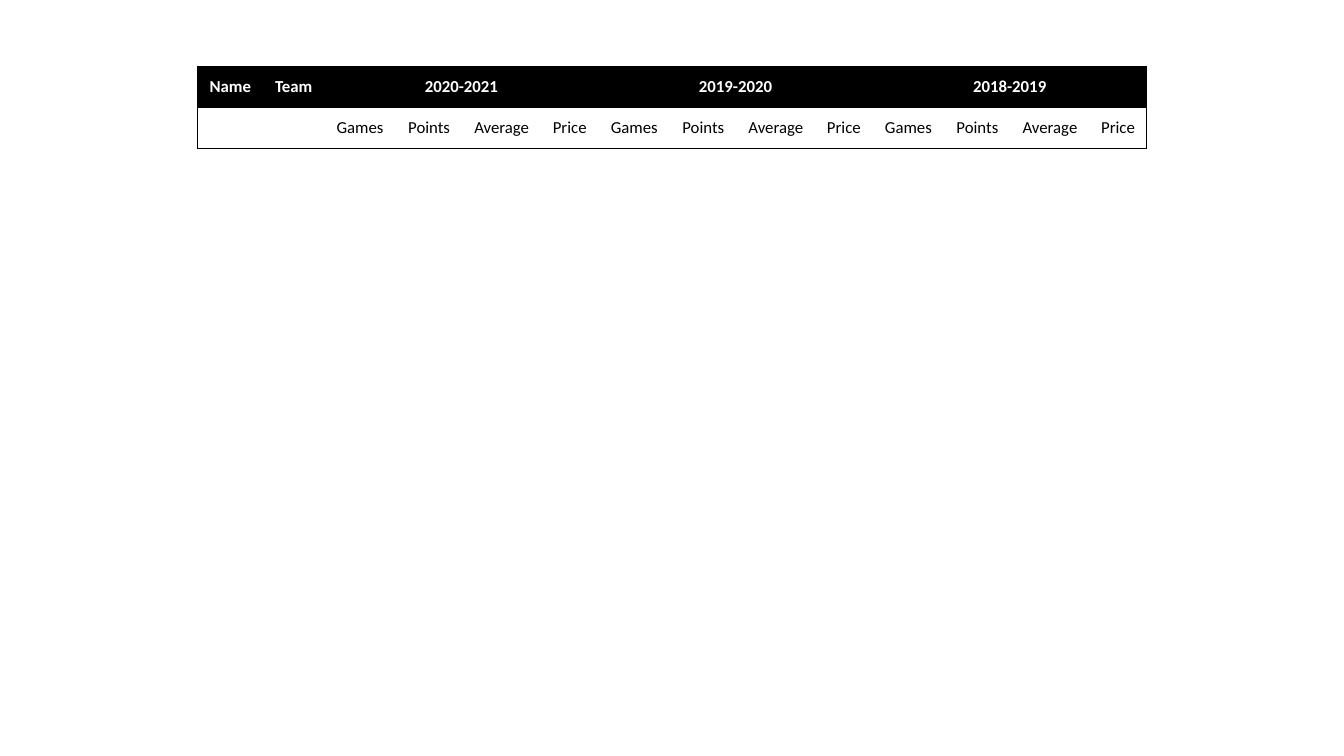
import pptx
import pptx.util
import pptx.dml.color
import pptx.enum.text
import pptx.oxml
import pptx.oxml.ns

COLORS = {"ink": "000000", "paper": "FFFFFF"}
NO_STYLE = "{2D5ABB26-0587-4C30-8999-92F81FD0307C}"
SEASONS = ["2020-2021", "2019-2020", "2018-2019"]
STATS = {"Games": 51.1, "Points": 47.5, "Average": 56.2, "Price": 41.1}
PLAYER = {"Name": 46.8, "Team": 43.8}
ROW_HEIGHT = 29.3


def rgb(name):
    return pptx.dml.color.RGBColor.from_string(COLORS[name])


def write(frame, text, font="Calibri", size=12, color="ink", bold=False):
    paragraph = frame.paragraphs[0]
    paragraph.alignment = pptx.enum.text.PP_ALIGN.CENTER
    run = paragraph.add_run()
    run.text = text
    run.font.name = font
    run.font.size = pptx.util.Pt(size)
    run.font.bold = bold
    run.font.color.rgb = rgb(color)


class SlideBuilder:
    def __init__(self, slide, border_width=0.5):
        self.slide = slide
        self.border_width = pptx.util.Pt(border_width)

    def table(self, left, top, widths, heights):
        frame = self.slide.shapes.add_table(
            len(heights), len(widths), pptx.util.Pt(left), pptx.util.Pt(top),
            pptx.util.Pt(sum(widths)), pptx.util.Pt(sum(heights)))
        grid = frame.table
        grid.first_row = grid.horz_banding = False
        grid._tbl.tblPr.find(pptx.oxml.ns.qn("a:tableStyleId")).text = NO_STYLE
        for column, width in zip(grid.columns, widths):
            column.width = pptx.util.Pt(width)
        for row, height in zip(grid.rows, heights):
            row.height = pptx.util.Pt(height)
        return grid

    def borders(self, cell, sides):
        properties = cell._tc.get_or_add_tcPr()
        for side in sides:
            properties.append(pptx.oxml.parse_xml(
                f'<a:ln{side} {pptx.oxml.ns.nsdecls("a")} w="{self.border_width}">'
                f'<a:solidFill><a:srgbClr val="{COLORS["ink"]}"/></a:solidFill>'
                f'</a:ln{side}>'))

    def cell(self, cell, fill, sides):
        cell.vertical_anchor = pptx.enum.text.MSO_ANCHOR.MIDDLE
        cell.margin_top = cell.margin_bottom = 0
        self.borders(cell, sides)
        cell.fill.solid()
        cell.fill.fore_color.rgb = rgb(fill)


def main():
    deck = pptx.Presentation()
    deck.slide_width = pptx.util.Pt(960)
    deck.slide_height = pptx.util.Pt(540)
    builder = SlideBuilder(deck.slides.add_slide(deck.slide_layouts[6]))

    widths = [*PLAYER.values(), *list(STATS.values()) * len(SEASONS)]
    scores = builder.table(141.1, 47.5, widths, [ROW_HEIGHT] * 2)
    season_starts = [len(PLAYER) + i * len(STATS) for i in range(len(SEASONS))]
    for start in season_starts:
        scores.cell(0, start).merge(scores.cell(0, start + len(STATS) - 1))

    for row, (fill, edge) in enumerate([("ink", "T"), ("paper", "B")]):
        for column in range(len(widths)):
            cell = scores.cell(row, column)
            sides = "L" if column == 0 else ""
            if column + cell.span_width == len(widths):
                sides += "R"
            builder.cell(cell, fill, sides + edge)

    headings = list(zip(range(len(PLAYER)), PLAYER)) + list(zip(season_starts, SEASONS))
    for column, heading in headings:
        write(scores.cell(0, column).text_frame, heading, color="paper", bold=True)
    for start in season_starts:
        for column, stat in enumerate(STATS, start):
            write(scores.cell(1, column).text_frame, stat)

    deck.save("out.pptx")


if __name__ == "__main__":
    main()
